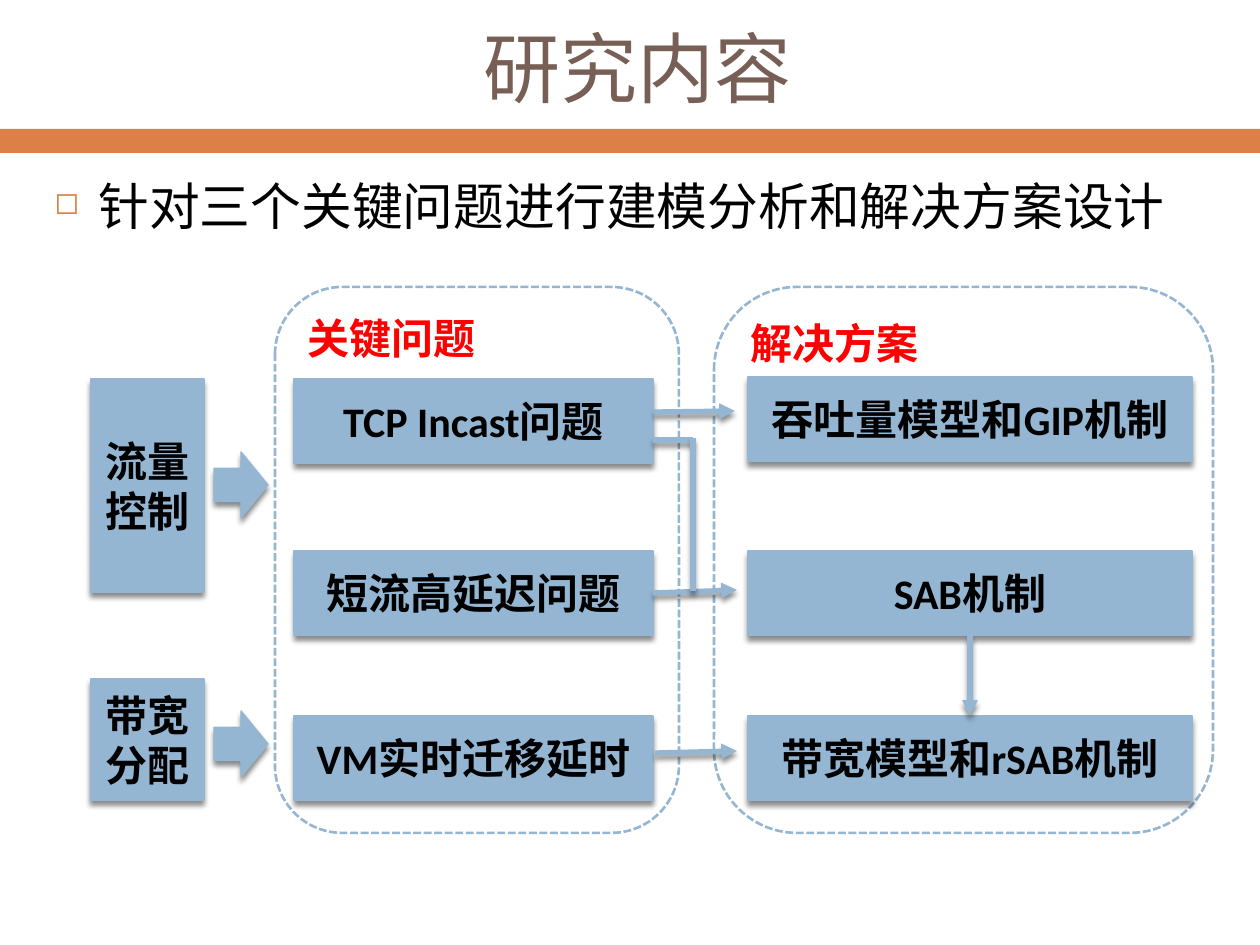
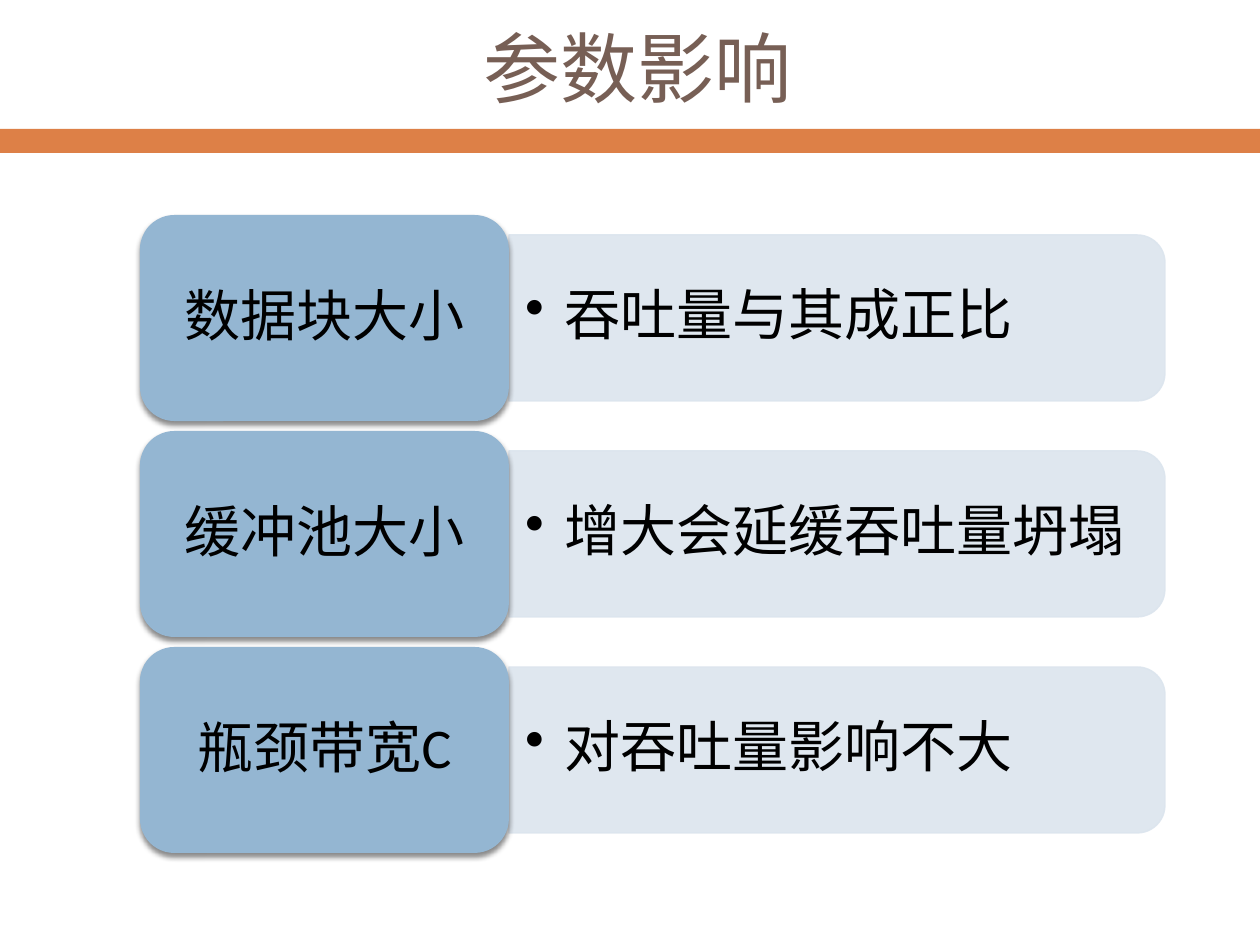
import pptx
import pptx.util
import pptx.dml.color
import pptx.enum.dml
import pptx.enum.shapes
import pptx.enum.text
import pptx.oxml
import pptx.oxml.ns


class Theme:
    px = 914400 // 126
    latin, han = "Calibri", "Noto Sans CJK SC"
    ink, head, band, blue = "000000", "775F55", "DD8047", "94B6D2"
    pale, white, red = "DCE5EE", "FFFFFF", "FF0000"
    title, lead, node, card = 44, 29, 24, 32
    thin, dash, wire = 0.79, 1.5, 3


Kind = pptx.enum.shapes.MSO_SHAPE
Align = pptx.enum.text.PP_ALIGN
Anchor = pptx.enum.text.MSO_ANCHOR
Pt = pptx.util.Pt
Rgb = pptx.dml.color.RGBColor.from_string
qn = pptx.oxml.ns.qn
ns = pptx.oxml.ns.nsdecls("a")
px = Theme.px


def form(page, kind, rect, fill, edge=None, width=Theme.thin):
    item = page.shapes.add_shape(kind, *[n * px for n in rect])
    item.shadow.inherit = False
    item.fill.solid()
    item.fill.fore_color.rgb = Rgb(fill)
    if edge:
        item.line.color.rgb = Rgb(edge)
        item.line.width = Pt(width)
    else:
        item.line.fill.background()
    return item


def write(item, text, size, color=Theme.ink, face=Theme.latin, bold=False,
          align=Align.CENTER, anchor=Anchor.MIDDLE, inset=None, gap=None,
          bullet=None):
    frame = item.text_frame
    look = {"word_wrap": True, "vertical_anchor": anchor}
    if inset:
        across, down = inset
        look |= {"margin_left": across * px, "margin_right": across * px,
                 "margin_top": down * px, "margin_bottom": down * px}
    for name, value in look.items():
        setattr(frame, name, value)
    para = frame.paragraphs[0]
    para.alignment = align
    for name, value in (gap or {}).items():
        setattr(para, name, value)
    run = para.add_run()
    run.text = text
    for name, value in {"size": Pt(size), "bold": bold, "name": face}.items():
        setattr(run.font, name, value)
    run.font.color.rgb = Rgb(color)
    run.font._element.append(pptx.oxml.parse_xml(
        f'<a:ea {ns} typeface="{Theme.han}"/>'))
    if bullet:
        sign, tint, part, indent = bullet
        props = para._p.get_or_add_pPr()
        props.set("marL", str(indent * px))
        props.set("indent", str(-indent * px))
        for tag in (f'<a:buClr {ns}><a:srgbClr val="{tint}"/></a:buClr>',
                    f'<a:buSzPct {ns} val="{part * 1000}"/>',
                    f'<a:buChar {ns} char="{sign}"/>'):
            props.append(pptx.oxml.parse_xml(tag))


deck = pptx.Presentation()
deck.slide_width = 1260 * px
deck.slide_height = 945 * px
pages = []
for title in ("研究内容", "参数影响"):
    page = deck.slides.add_slide(deck.slide_layouts[6])
    form(page, Kind.RECTANGLE, (0, 129, 1260, 24), Theme.band)
    area = page.shapes.add_textbox(*[n * px for n in (42, 18, 1192, 97)])
    write(area, title, Theme.title, Theme.head, Theme.han)
    pages.append(page)
plan, effect = pages
cast = []

for text, left, width in (("关键问题", 275, 404), ("解决方案", 714, 499)):
    group = form(plan, Kind.ROUNDED_RECTANGLE, (left, 287, width, 546),
                 Theme.white, Theme.blue, Theme.dash)
    group.line.dash_style = pptx.enum.dml.MSO_LINE.SQUARE_DOT
    write(group, text, Theme.node, Theme.red, bold=True, align=Align.LEFT,
          anchor=Anchor.TOP)

lead = plan.shapes.add_textbox(*[n * px for n in (42, 169, 1192, 80)])
write(lead, "针对三个关键问题进行建模分析和解决方案设计", Theme.lead,
      face=Theme.han, align=Align.LEFT, anchor=Anchor.TOP,
      gap={"space_before": Pt(7)}, bullet=("◻", Theme.band, 60, 44))

nodes = {}
for text, *rect in (
    ("流量控制", 91, 379, 113, 213),
    ("带宽分配", 91, 679, 113, 121),
    ("TCP Incast问题", 294, 379, 359, 84),
    ("吞吐量模型和GIP机制", 748, 377, 444, 84),
    ("短流高延迟问题", 294, 551, 359, 84),
    ("VM实时迁移延时", 294, 716, 359, 84),
    ("SAB机制", 748, 551, 444, 84),
    ("带宽模型和rSAB机制", 748, 716, 444, 84),
):
    node = form(plan, Kind.RECTANGLE, rect, Theme.blue, Theme.blue)
    write(node, text, Theme.node, bold=True)
    nodes[text] = node
    cast.append(node)

for top in (452, 711):
    cast.append(form(plan, Kind.RIGHT_ARROW, (214, top, 54, 66),
                     Theme.blue, Theme.blue))

for ends, tip, start, stop in (
    ((654, 412, 735, 411), True, None, None),
    ((653, 593, 737, 590), True, ("短流高延迟问题", 3), None),
    ((655, 753, 737, 751), True, None, None),
    ((970, 635, 970, 716), True, ("SAB机制", 2), ("带宽模型和rSAB机制", 0)),
    ((653, 440, 693, 440), False, None, None),
    ((693, 438, 693, 591), False, None, None),
):
    wire = plan.shapes.add_connector(
        pptx.enum.shapes.MSO_CONNECTOR.STRAIGHT, *[n * px for n in ends])
    if start:
        wire.begin_connect(nodes[start[0]], start[1])
    if stop:
        wire.end_connect(nodes[stop[0]], stop[1])
    wire.line.color.rgb = Rgb(Theme.blue)
    wire.line.width = Pt(Theme.wire)
    if tip:
        wire.line._get_or_add_ln().append(
            pptx.oxml.parse_xml(f'<a:tailEnd {ns} type="triangle"/>'))
    wire._element.spPr.append(pptx.oxml.parse_xml(f"<a:effectLst {ns}/>"))
    cast.append(wire)

for row, (name, note) in enumerate((
    ("数据块大小", "吞吐量与其成正比"),
    ("缓冲池大小", "增大会延缓吞吐量坍塌"),
    ("瓶颈带宽C", "对吞吐量影响不大"),
)):
    top = 215 + row * 216
    bar = form(effect, Kind.ROUND_2_SAME_RECTANGLE, (754, top - 225, 166, 656),
               Theme.pale, Theme.pale)
    bar.rotation = 90
    for tint in bar._element.spPr.iter(qn("a:srgbClr")):
        tint.append(pptx.oxml.parse_xml(f'<a:alpha {ns} val="90000"/>'))
    area = effect.shapes.add_textbox(
        *[n * px for n in (509, top + 28, 648, 149)])
    write(area, note, Theme.card, align=Align.LEFT, inset=(16, 9),
          gap={"line_spacing": 0.9}, bullet=("•", Theme.ink, 100, 39))
    card = form(effect, Kind.ROUNDED_RECTANGLE, (140, top, 369, 206),
                Theme.blue)
    write(card, name, Theme.card, inset=(16, 9), gap={"line_spacing": 0.9})
    cast.append(card)

for item in cast:
    item._element.spPr.find(qn("a:effectLst")).append(pptx.oxml.parse_xml(
        f'<a:outerShdw {ns} blurRad="{Pt(3)}" dist="{Pt(2.4)}" dir="5400000" '
        'rotWithShape="0"><a:srgbClr val="000000"><a:alpha val="45000"/>'
        '</a:srgbClr></a:outerShdw>'))

deck.save("out.pptx")
